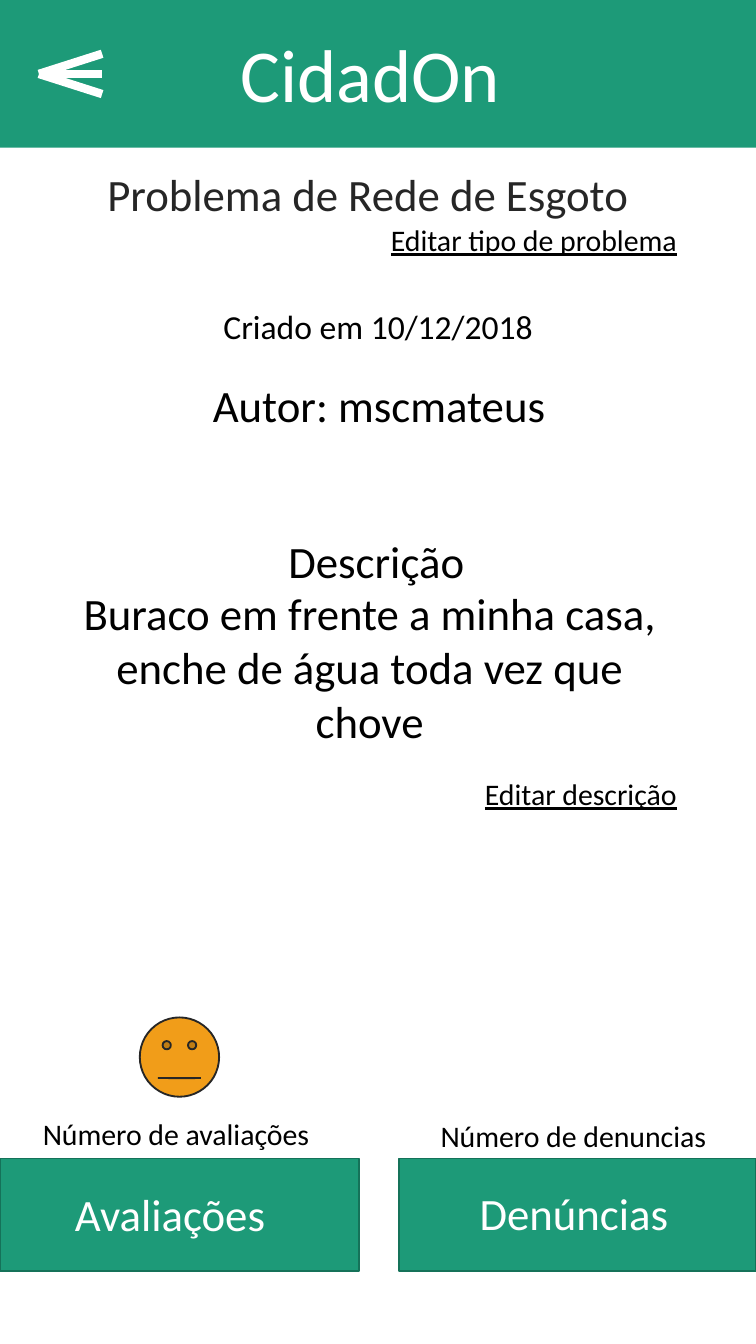
from dataclasses import dataclass

from lxml import etree
from pptx import Presentation
from pptx import util as u
from pptx.dml.color import RGBColor
from pptx.enum import shapes, text
from pptx.oxml.ns import qn

HEIGHT = 10
WIDTH = HEIGHT * 9 / 16
GREEN, DARK_GREEN, ORANGE = "1D9A78", "157259", "F19D19"
WHITE, BLACK, CHARCOAL = "FFFFFF", "000000", "262626"


@dataclass
class Label:
    text: str
    left: float
    top: float
    width: float
    height: float
    size: int
    color: str = BLACK
    centered: bool = False
    underline: bool = False
    wrap: bool = True


HEADINGS = [
    Label("CidadOn", 1.69, 0.16, 2.24, 0.77, 40, WHITE),
    Label("Problema de Rede de Esgoto", 0.7, 1.19, 4.15, 0.5, 24, CHARCOAL),
]
DETAILS = [
    Label("Buraco em frente a minha casa, enche de água toda vez que chove",
          0.39, 4.31, 4.72, 1.31, 24, centered=True),
    Label("Descrição", 2.04, 3.92, 1.52, 0.5, 24, centered=True, wrap=False),
    Label("Criado em 10/12/2018", 1.55, 2.23, 2.53, 0.4, 18, centered=True, wrap=False),
    Label("Autor: mscmateus", 1.47, 2.76, 2.7, 0.5, 24, centered=True, wrap=False),
]
BUTTON_LABELS = [
    Label("Avaliações", 0.46, 8.78, 1.74, 0.5, 24, WHITE),
    Label("Denúncias", 3.47, 8.77, 1.74, 0.5, 24, WHITE),
    Label("Número de avaliações", 0.22, 8.25, 2.24, 0.37, 16),
    Label("Número de denuncias", 3.18, 8.27, 2.24, 0.37, 16),
]
EDIT_LABELS = [
    Label("Editar descrição", 3.51, 5.72, 1.68, 0.37, 16, underline=True),
    Label("Editar tipo de problema", 2.81, 1.6, 2.48, 0.37, 16, underline=True),
]


def rgb(value: str) -> RGBColor:
    return RGBColor.from_string(value)


def add_shape(s, kind, left: float, top: float, width: float, height: float,
              fill: str, line: str | None = None):
    sp = s.shapes.add_shape(kind, u.Inches(left), u.Inches(top),
                            u.Inches(width), u.Inches(height))
    sp.shadow.inherit = False
    sp.fill.solid()
    sp.fill.fore_color.rgb = rgb(fill)
    if line:
        sp.line.color.rgb = rgb(line)
        sp.line.width = u.Pt(1)
    else:
        sp.line.fill.background()
    return sp


def add_labels(s, labels: list[Label]) -> None:
    for label in labels:
        sp = s.shapes.add_textbox(u.Inches(label.left), u.Inches(label.top),
                                  u.Inches(label.width), u.Inches(label.height))
        tf = sp.text_frame
        tf.word_wrap = label.wrap
        tf.auto_size = text.MSO_AUTO_SIZE.SHAPE_TO_FIT_TEXT
        p = tf.paragraphs[0]
        p.text = label.text
        p.alignment = text.PP_ALIGN.CENTER if label.centered else text.PP_ALIGN.LEFT
        p.font.name = "Calibri"
        p.font.size = u.Pt(label.size)
        p.font.color.rgb = rgb(label.color)
        if label.underline:
            p.font.underline = True


def add_back_arrow(s) -> None:
    """Draw three strokes that fan out from the arrow's tip."""
    tip_x, tip_y, end_x, spread = 0.29, 0.55, 0.76, 0.15
    group = s.shapes.add_group_shape()
    for offset in (-spread, 0, spread):
        stroke = group.shapes.add_connector(
            shapes.MSO_CONNECTOR.STRAIGHT, u.Inches(tip_x), u.Inches(tip_y),
            u.Inches(end_x), u.Inches(tip_y + offset))
        stroke.line.color.rgb = rgb(WHITE)
        stroke.line.width = u.Pt(4.5)
        etree.SubElement(stroke._element.spPr, qn("a:effectLst"))


def main() -> None:
    prs = Presentation()
    prs.slide_width, prs.slide_height = u.Inches(WIDTH), u.Inches(HEIGHT)
    s = prs.slides.add_slide(prs.slide_layouts[6])

    rectangle = shapes.MSO_SHAPE.RECTANGLE
    add_shape(s, rectangle, 0, 0, WIDTH, 1.1, GREEN)
    add_labels(s, HEADINGS)
    add_back_arrow(s)
    add_labels(s, DETAILS)
    for left, right in ((0, 2.67), (2.97, WIDTH)):
        add_shape(s, rectangle, left, 8.62, right - left, 0.84, GREEN, DARK_GREEN)
    add_labels(s, BUTTON_LABELS)
    face = add_shape(s, shapes.MSO_SHAPE.SMILEY_FACE, 1.04, 7.57, 0.59, 0.59,
                     ORANGE, CHARCOAL)
    face.adjustments[0] = 0.001  # nearly straight mouth
    add_labels(s, EDIT_LABELS)
    prs.save("out.pptx")


if __name__ == "__main__":
    main()
